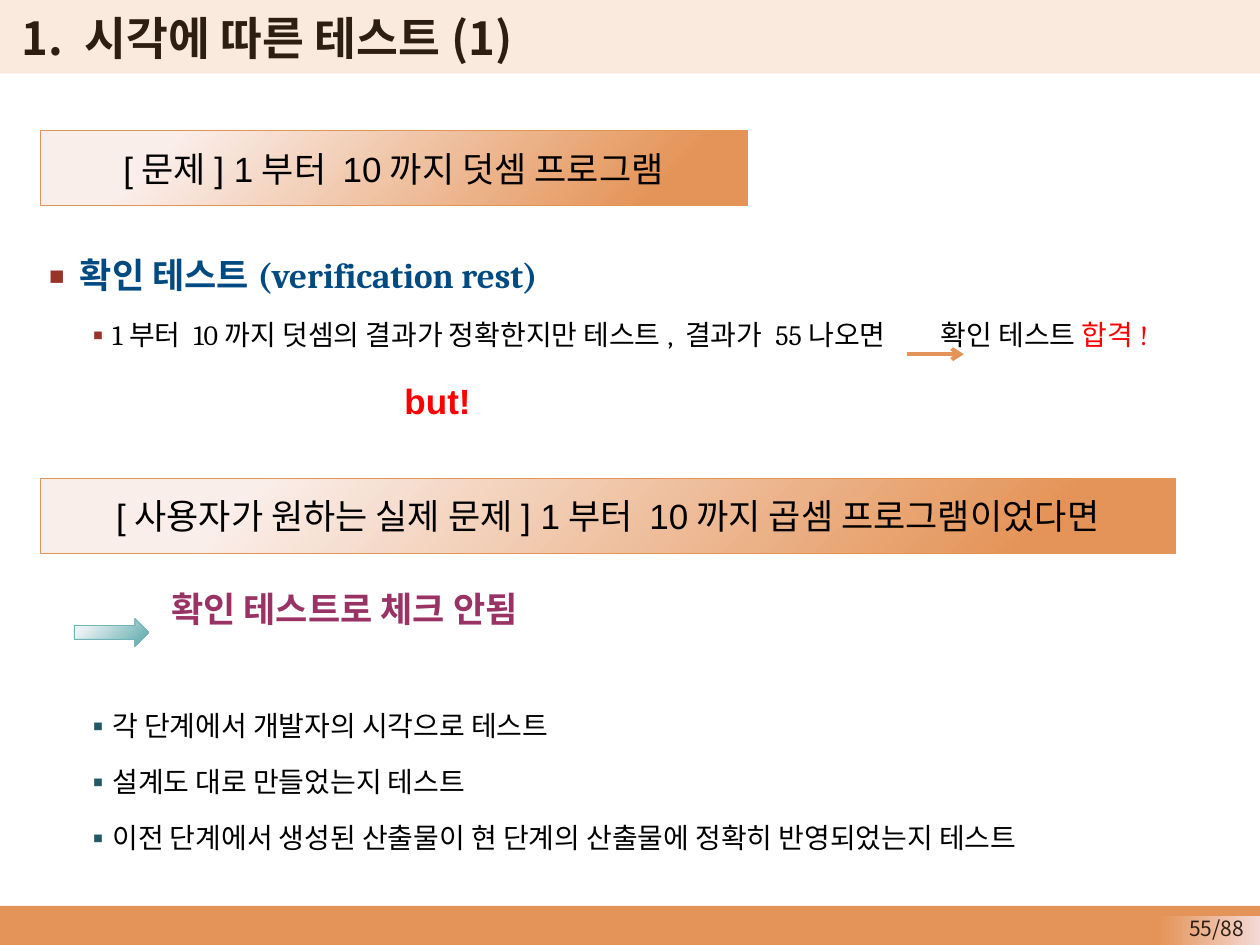
from lxml import etree
from pptx import Presentation
from pptx import util as u
from pptx.dml import color
from pptx.enum import shapes, text
from pptx.oxml import ns

GOTHIC = "Noto Sans CJK KR"
ORANGE = "E49458"


def rgb(value):
    return color.RGBColor.from_string(value)


def format_run(run, size, font, hue, bold=False):
    run.font.size = u.Pt(size)
    run.font.name = font
    run.font.bold = bold
    run.font.color.rgb = rgb(hue)
    etree.SubElement(run.font._element, ns.qn("a:ea"), typeface=GOTHIC)


presentation = Presentation()
presentation.slide_width, presentation.slide_height = u.Cm(25.4), u.Cm(19.05)
slide = presentation.slides.add_slide(presentation.slide_layouts[1])
title, body = slide.placeholders

RECTANGLE = shapes.MSO_SHAPE.RECTANGLE
ARROW = shapes.MSO_SHAPE.RIGHT_ARROW
problem = "[문제] 1부터 10까지 덧셈 프로그램"
actual_problem = "[사용자가 원하는 실제 문제] 1부터 10까지 곱셈 프로그램이었다면"
blocks = [
    (RECTANGLE, 0, 18.26, 25.4, 0.79, [ORANGE], None, ""),
    (RECTANGLE, 0, -0.05, 25.4, 1.53, ["FAEADE"], None, ""),
    (RECTANGLE, 23.37, 18.46, 2.03, 0.6, ["F4D9D6", ORANGE, 0, 1, 180], None, ""),
    (RECTANGLE, 0.81, 2.64, 14.25, 1.5, ["FAEEEA", ORANGE, 0.18, 0.87, 315], ORANGE, problem),
    (RECTANGLE, 0.81, 9.65, 22.89, 1.5, ["FAEEEA", ORANGE, 0.18, 0.87, 315], ORANGE, actual_problem),
    (ARROW, 1.5, 12.47, 1.5, 0.56, ["EBF2F3", "70B4B7", 0.18, 0.87, 315], "70B4B7", ""),
]
for kind, left, top, width, height, paint, outline, label in blocks:
    shape = slide.shapes.add_shape(kind, u.Cm(left), u.Cm(top), u.Cm(width), u.Cm(height))
    shape.shadow.inherit = False
    if len(paint) == 1:
        shape.fill.solid()
        shape.fill.fore_color.rgb = rgb(paint[0])
    else:
        start, end, start_position, end_position, angle = paint
        shape.fill.gradient()
        shape.fill.gradient_angle = angle
        first, last = shape.fill.gradient_stops
        first.color.rgb, first.position = rgb(start), start_position
        last.color.rgb, last.position = rgb(end), end_position
    if outline:
        shape.line.color.rgb = rgb(outline)
        shape.line.width = u.Pt(0.5)
    else:
        shape.line.fill.background()
    if label:
        shape.text_frame.text = label
        shape.text_frame.vertical_anchor = text.MSO_ANCHOR.MIDDLE
        paragraph = shape.text_frame.paragraphs[0]
        paragraph.alignment = text.PP_ALIGN.CENTER
        format_run(paragraph.runs[0], 20, "Arial", "000000")

for placeholder in (title, body):
    placeholder.element.getparent().append(placeholder.element)

title.left, title.top, title.width, title.height = u.Cm(0.18), u.Cm(0.1), u.Cm(21.62), u.Cm(1.32)
title.text_frame.text = "1. 시각에 따른 테스트(1)"
title.text_frame.auto_size = text.MSO_AUTO_SIZE.NONE
title.text_frame.vertical_anchor = text.MSO_ANCHOR.MIDDLE
title.text_frame.paragraphs[0].alignment = text.PP_ALIGN.LEFT
format_run(title.text_frame.paragraphs[0].runs[0], 26, GOTHIC, "2C1E13", True)

body.left, body.top, body.width, body.height = u.Cm(0.18), u.Cm(2.16), u.Cm(24.89), u.Cm(16.38)
frame = body.text_frame
frame.auto_size = text.MSO_AUTO_SIZE.NONE
frame.vertical_anchor = text.MSO_ANCHOR.TOP
frame.margin_top = u.Cm(2.74)
RED, TEAL, BLACK = "973327", "215968", "000000"
items = [
    (0, 1, -0.74, 0, 20, "Cambria", True, RED, [("확인 테스트(verification rest)", "004A82")]),
    (1, 1.75, -0.48, 8, 16, "Cambria", False, RED,
     [("1부터 10까지 덧셈의 결과가 정확한지만 테스트, 결과가 55나오면", BLACK), (" ", BLACK),
      ("확인 테스트 ", BLACK), ("합격!", "FF0000")]),
    (1, 7.72, 0, 10, 20, "Arial", True, None, [("but!", "FF0000")]),
    (0, 3.02, 0, 89, 20, "Cambria", True, None, [("확인 테스트로 체크 안됨", "993366")]),
    (1, 1.75, -0.48, 40, 16, "Cambria", False, TEAL, [("각 단계에서 개발자의 시각으로 테스트", BLACK)]),
    (1, 1.75, -0.48, 8, 16, "Cambria", False, TEAL, [("설계도 대로 만들었는지 테스트", BLACK)]),
    (1, 1.75, -0.48, 8, 16, "Cambria", False, TEAL,
     [("이전 단계에서 생성된 산출물이 현 단계의 산출물에 정확히 반영되었는지 테스트", BLACK)]),
]
for index, (level, margin, indent, before, size, font, bold, bullet, parts) in enumerate(items):
    paragraph = frame.add_paragraph() if index else frame.paragraphs[0]
    paragraph.level = level
    paragraph.line_spacing = u.Pt(size * 1.5)
    paragraph.space_before = u.Pt(before)
    for words, hue in parts:
        run = paragraph.add_run()
        run.text = words
        format_run(run, size, font, hue, bold)
        if words == " ":
            run.font._element.set("spc", "2800")
    properties = paragraph._p.get_or_add_pPr()
    properties.set("marL", str(u.Cm(margin)))
    properties.set("indent", str(u.Cm(indent)))
    if bullet:
        bullet_color = etree.SubElement(properties, ns.qn("a:buClr"))
        etree.SubElement(bullet_color, ns.qn("a:srgbClr"), val=bullet)
        etree.SubElement(properties, ns.qn("a:buSzPct"), val="100000" if level else "130000")
        etree.SubElement(properties, ns.qn("a:buFont"), typeface=GOTHIC)
        etree.SubElement(properties, ns.qn("a:buChar"), char="▪")
    else:
        etree.SubElement(properties, ns.qn("a:buNone"))

arrow = slide.shapes.add_connector(
    shapes.MSO_CONNECTOR.STRAIGHT, u.Cm(18.29), u.Cm(7.14), u.Cm(19.43), u.Cm(7.14))
arrow.line.color.rgb = rgb(ORANGE)
arrow.line.width = u.Pt(2.25)
etree.SubElement(arrow.line._get_or_add_ln(), ns.qn("a:tailEnd"), type="arrow")
etree.SubElement(arrow.element.spPr, ns.qn("a:effectLst"))

page_number = slide.shapes.add_textbox(u.Cm(22.99), u.Cm(18.34), u.Cm(2.34), u.Cm(0.58))
page_number.text_frame.word_wrap = True
page_number.text_frame.vertical_anchor = text.MSO_ANCHOR.TOP
page_number.text_frame.text = "55/88"
page_number.text_frame.paragraphs[0].alignment = text.PP_ALIGN.RIGHT
format_run(page_number.text_frame.paragraphs[0].runs[0], 12, GOTHIC, "2C1E13")

presentation.save("out.pptx")
